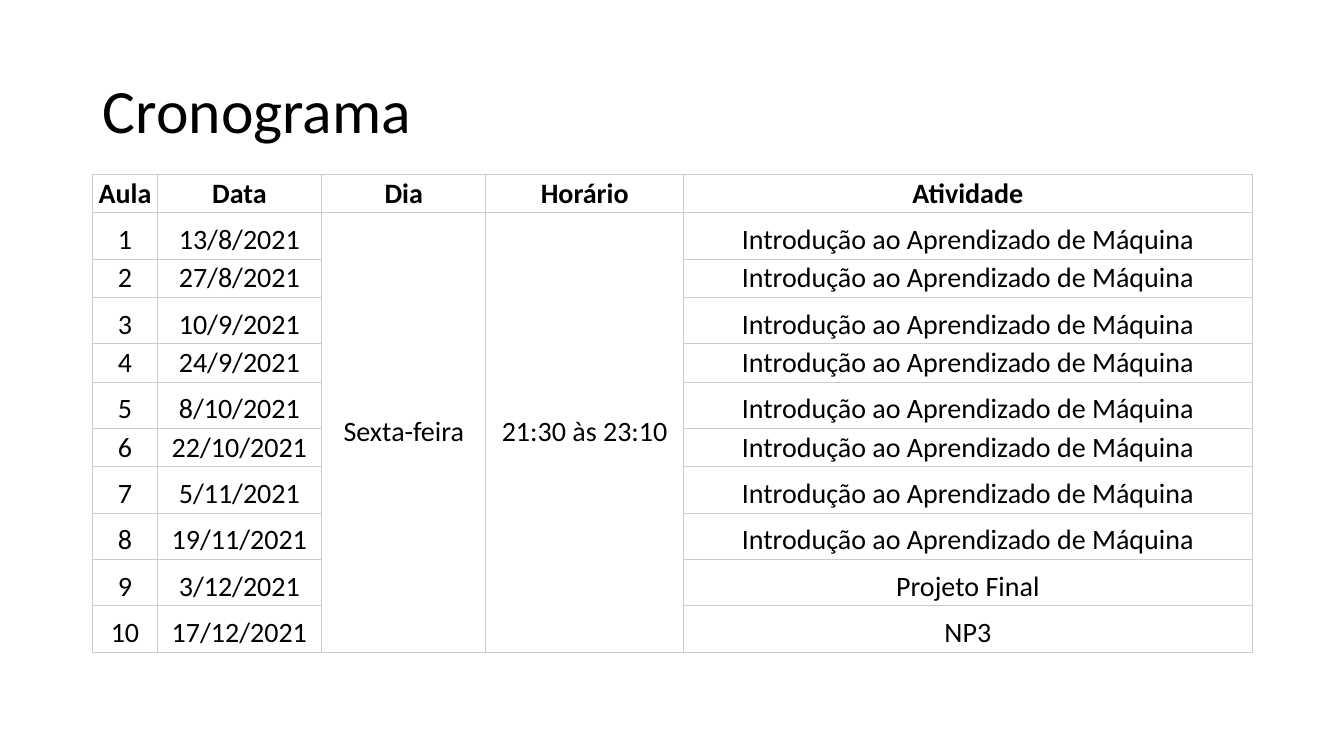
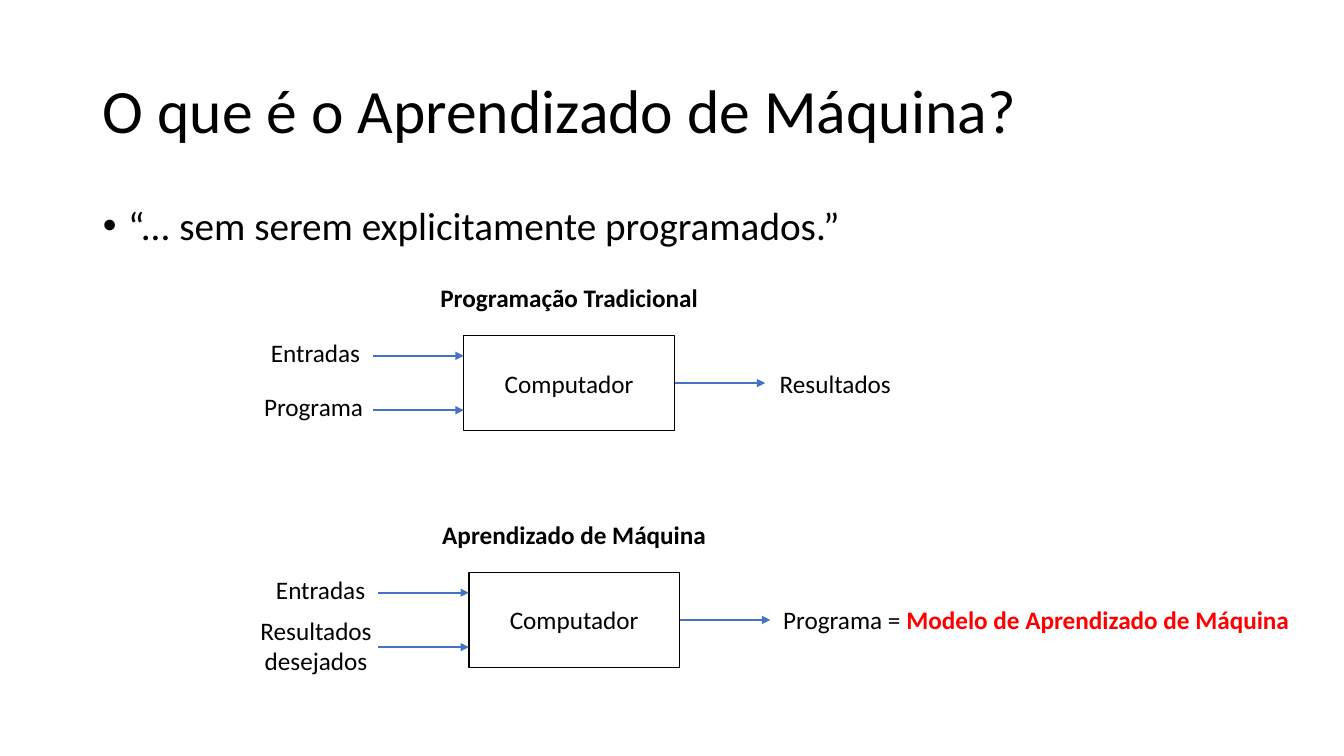
"""Build two slides on a machine learning course: its schedule and its central idea."""
from dataclasses import dataclass

from lxml.etree import SubElement
from pptx import Presentation
from pptx.dml.color import RGBColor
from pptx.enum.shapes import MSO_CONNECTOR, MSO_SHAPE
from pptx.enum.text import MSO_ANCHOR, MSO_AUTO_SIZE, PP_ALIGN
from pptx.oxml import parse_xml
from pptx.oxml.ns import nsdecls, qn
from pptx.util import Pt

PX = 9144


@dataclass(frozen=True)
class Theme:
    font: str = "Calibri"
    ink: str = "000000"
    accent: str = "4472C4"
    highlight: str = "FF0000"
    grid: str = "CCCCCC"
    title: int = 44
    body: int = 28
    table: int = 20
    label: int = 18


THEME = Theme()


def add_run(paragraph, text, size, bold=False, color=THEME.ink):
    run = paragraph.add_run()
    run.text = text
    run.font.name = THEME.font
    run.font.size = Pt(size)
    run.font.bold = bold
    run.font.color.rgb = RGBColor.from_string(color)


def add_label(slide, left, top, width, height, text, bold=False, align=PP_ALIGN.CENTER):
    label = slide.shapes.add_textbox(left * PX, top * PX, width * PX, height * PX)
    label.text_frame.word_wrap = True
    paragraph = label.text_frame.paragraphs[0]
    paragraph.alignment = align
    add_run(paragraph, text, THEME.label, bold)
    return paragraph


prs = Presentation()
prs.slide_width, prs.slide_height = 1333 * PX, 750 * PX

slides = []
for heading, layout in (("Cronograma", 5), ("O que é o Aprendizado de Máquina?", 1)):
    slide = prs.slides.add_slide(prs.slide_layouts[layout])
    title = slide.shapes.title
    title.left, title.top, title.width, title.height = 92 * PX, 40 * PX, 1150 * PX, 145 * PX
    title.text_frame.auto_size = MSO_AUTO_SIZE.NONE
    title.text_frame.vertical_anchor = MSO_ANCHOR.MIDDLE
    paragraph = title.text_frame.paragraphs[0]
    paragraph.alignment = PP_ALIGN.LEFT
    paragraph.line_spacing = 0.9
    add_run(paragraph, heading, THEME.title)
    slides.append(slide)
schedule_slide, concept_slide = slides

headers = ["Aula", "Data", "Dia", "Horário", "Atividade"]
dates = ["13/8/2021", "27/8/2021", "10/9/2021", "24/9/2021", "8/10/2021",
         "22/10/2021", "5/11/2021", "19/11/2021", "3/12/2021", "17/12/2021"]
activities = ["Introdução ao Aprendizado de Máquina"] * 8 + ["Projeto Final", "NP3"]
lessons = [[str(number), date, "", "", activity]
           for number, (date, activity) in enumerate(zip(dates, activities), 1)]
lessons[0][2:4] = ["Sexta-feira", "21:30 às 23:10"]
schedule = [headers] + lessons

column_widths = [64, 163, 163, 196, 564]
row_heights = [38, 46] * 4 + [46] * 3
schedule_frame = schedule_slide.shapes.add_table(
    len(schedule), len(headers), 92 * PX, 173 * PX,
    sum(column_widths) * PX, sum(row_heights) * PX)
table = schedule_frame.table
table.first_row = table.horz_banding = False
for column, width in zip(table.columns, column_widths):
    column.width = width * PX
for row, height in zip(table.rows, row_heights):
    row.height = height * PX
for shared_column in (2, 3):
    table.cell(1, shared_column).merge(table.cell(len(lessons), shared_column))

for row_index, entries in enumerate(schedule):
    for column_index, entry in enumerate(entries):
        cell = table.cell(row_index, column_index)
        cell.margin_left = cell.margin_right = 3 * PX
        cell.margin_top = cell.margin_bottom = 2 * PX
        cell.vertical_anchor = MSO_ANCHOR.MIDDLE if cell.is_merge_origin else MSO_ANCHOR.BOTTOM
        cell.fill.background()
        if entry:
            paragraph = cell.text_frame.paragraphs[0]
            paragraph.alignment = PP_ALIGN.CENTER
            add_run(paragraph, entry, THEME.table, bold=row_index == 0)

for properties in schedule_frame.element.iter(qn("a:tcPr")):
    for position, side in enumerate(("lnL", "lnR", "lnT", "lnB")):
        properties.insert(position, parse_xml(
            f'<a:{side} {nsdecls("a")} w="{Pt(0.75)}"><a:solidFill>'
            f'<a:srgbClr val="{THEME.grid}"/></a:solidFill></a:{side}>'))

quote = concept_slide.placeholders[1]
quote.left, quote.top, quote.width, quote.height = 92 * PX, 200 * PX, 1150 * PX, 476 * PX
quote.text_frame.auto_size = MSO_AUTO_SIZE.NONE
paragraph = quote.text_frame.paragraphs[0]
paragraph.line_spacing = 0.9
paragraph.space_before = Pt(10)
indents = paragraph._p.get_or_add_pPr()
indents.set("marL", str(25 * PX))
indents.set("indent", str(-25 * PX))
add_run(paragraph, "“... sem serem explicitamente programados.”", THEME.body)

diagrams = [
    (460, 333, "Programação Tradicional", ("Programa", 247, 383, 128, 40),
     "Resultados", 133, PP_ALIGN.CENTER, ""),
    (465, 568, "Aprendizado de Máquina", ("Resultados desejados", 247, 605, 133, 71),
     "Programa = ", 537, PP_ALIGN.LEFT, "Modelo de Aprendizado de Máquina"),
]
for left, top, caption, second_input, result, result_width, result_align, emphasis in diagrams:
    computer = concept_slide.shapes.add_shape(
        MSO_SHAPE.RECTANGLE, left * PX, top * PX, 209 * PX, 94 * PX)
    computer.shadow.inherit = False
    computer.fill.background()
    computer.line.color.rgb = RGBColor.from_string(THEME.ink)
    computer.line.width = Pt(1)
    computer.text_frame.vertical_anchor = MSO_ANCHOR.MIDDLE
    paragraph = computer.text_frame.paragraphs[0]
    paragraph.alignment = PP_ALIGN.CENTER
    add_run(paragraph, "Computador", THEME.label)

    add_label(concept_slide, left - 40, top - 58, 289, 40, caption, bold=True)
    add_label(concept_slide, left - 204, top - 3, 114, 40, "Entradas")
    input_text, *input_place = second_input
    add_label(concept_slide, *input_place, input_text)
    output = add_label(concept_slide, left + 302, top + 27, result_width, 40,
                       result, align=result_align)
    if emphasis:
        add_run(output, emphasis, THEME.label, bold=True, color=THEME.highlight)

    for start, drop in ((-90, 20), (-90, 74), (209, 47)):
        arrow = concept_slide.shapes.add_connector(
            MSO_CONNECTOR.STRAIGHT, (left + start) * PX, (top + drop) * PX,
            (left + start + 90) * PX, (top + drop) * PX)
        arrow.line.color.rgb = RGBColor.from_string(THEME.accent)
        arrow.line.width = Pt(1.5)
        outline = arrow.element.spPr.find(qn("a:ln"))
        SubElement(outline, qn("a:tailEnd"), type="triangle")
        SubElement(arrow.element.spPr, qn("a:effectLst"))
        if start > 0:
            arrow.begin_connect(computer, 3)

prs.save("out.pptx")
